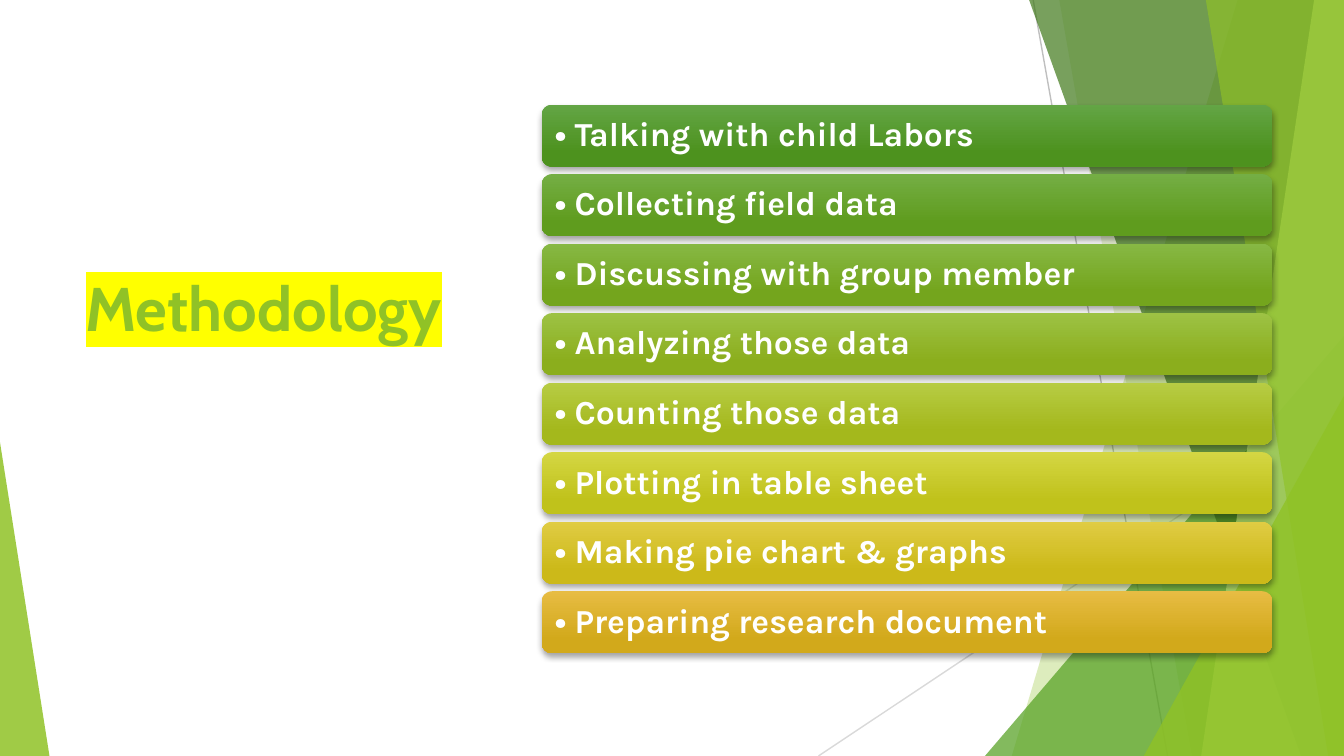
import pptx
import pptx.util
import pptx.dml.color
import pptx.enum.shapes
import pptx.enum.text
import pptx.oxml
import pptx.oxml.ns

Pt = pptx.util.Pt
MSO_SHAPE = pptx.enum.shapes.MSO_SHAPE
MSO_ANCHOR = pptx.enum.text.MSO_ANCHOR
PP_ALIGN = pptx.enum.text.PP_ALIGN
qn = pptx.oxml.ns.qn
NS = pptx.oxml.ns.nsdecls("a")

COLORS = {
    "lime": "90C226", "green": "54A021", "forest": "3F7819", "pale": "C0E474",
    "gray": "BFBFBF", "silver": "D9D9D9", "white": "FFFFFF",
    "highlight": "FFFF00", "shadow": "000000",
}
STEPS = [
    ("Talking with child Labors", "63A545", "4D921E"),
    ("Collecting field data", "74AE44", "5F9C1E"),
    ("Discussing with group member", "87B844", "74A51D"),
    ("Analyzing those data", "9DC244", "8BAE1D"),
    ("Counting those data", "B7CC44", "A4B81C"),
    ("Plotting in table sheet", "D4D643", "C0C21B"),
    ("Making pie chart & graphs", "E0CC43", "CCB919"),
    ("Preparing research document", "E7BC43", "D2A91B"),
]
WIDTH, HEIGHT = 720, 405
BAR_LEFT, BAR_TOP, BAR_WIDTH, BAR_HEIGHT, BAR_STEP = 290.2, 56, 391.5, 33.2, 37.25


def rgb(value):
    return pptx.dml.color.RGBColor.from_string(value)


def set_font(font, name, size, color):
    font.name = name
    font.size = Pt(size)
    font.bold = True
    font.color.rgb = rgb(COLORS[color])


def fill_glass(sp, color, alpha):
    sp.shadow.inherit = False
    sp.line.fill.background()
    sp.fill.solid()
    sp.fill.fore_color.rgb = rgb(COLORS[color])
    clr = sp.fill._xPr.find(qn("a:solidFill"))[0]
    clr.append(pptx.oxml.parse_xml(f'<a:alpha {NS} val="{alpha * 1000}"/>'))


def add_ray(s, x1, y1, x2, y2, color):
    cx = s.shapes.add_connector(
        pptx.enum.shapes.MSO_CONNECTOR.STRAIGHT, Pt(x1), Pt(y1), Pt(x2), Pt(y2))
    cx.line.color.rgb = rgb(COLORS[color])
    cx.line.width = Pt(0.75)
    cx._element.spPr.append(pptx.oxml.parse_xml(f"<a:effectLst {NS}/>"))


def add_shard(s, top_x, bottom_x, color, alpha):
    fb = s.shapes.build_freeform(Pt(top_x), 0)
    fb.add_line_segments(
        [(Pt(WIDTH), 0), (Pt(WIDTH), Pt(HEIGHT)), (Pt(bottom_x), Pt(HEIGHT))])
    fill_glass(fb.convert_to_shape(), color, alpha)


def add_corner(s, x, width, height, apex, color, alpha):
    sp = s.shapes.add_shape(
        MSO_SHAPE.ISOSCELES_TRIANGLE, Pt(x), Pt(HEIGHT - height), Pt(width), Pt(height))
    sp.adjustments[0] = apex
    fill_glass(sp, color, alpha)


def add_backdrop(s):
    add_ray(s, 553.5, 0, 625.5, HEIGHT, "gray")
    add_ray(s, WIDTH, 217.5, 438.5, HEIGHT, "silver")
    add_shard(s, 663, 542, "lime", 30)
    add_shard(s, 567.5, 638.5, "lime", 20)
    add_corner(s, 527.7, 192.3, 225, 1, "green", 72)
    add_shard(s, 551.3, 697, "forest", 70)
    add_shard(s, 704, 643.5, "pale", 70)
    add_shard(s, 646, 711.5, "lime", 65)
    add_corner(s, 612.7, 107.3, 193, 1, "lime", 80)
    add_corner(s, 0, 26.5, 168, 0, "lime", 85)


def add_title(s, text):
    sp = s.shapes.title
    sp.left, sp.top, sp.width, sp.height = Pt(38.6), Pt(81.5), Pt(209.5), Pt(242)
    tf = sp.text_frame
    tf.word_wrap = True
    tf.auto_size = pptx.enum.text.MSO_AUTO_SIZE.NONE
    tf.vertical_anchor = MSO_ANCHOR.MIDDLE
    tf.margin_bottom = Pt(80)
    p = tf.paragraphs[0]
    p.alignment = PP_ALIGN.LEFT
    set_font(p.font, "Cabin", 33, "lime")
    r = p.add_run()
    r.text = text
    r._r.get_or_add_rPr().append(pptx.oxml.parse_xml(
        f'<a:highlight {NS}><a:srgbClr val="{COLORS["highlight"]}"/></a:highlight>'))


def add_bar(s, top, text, light, dark):
    sp = s.shapes.add_shape(
        MSO_SHAPE.ROUNDED_RECTANGLE, Pt(BAR_LEFT), Pt(top), Pt(BAR_WIDTH), Pt(BAR_HEIGHT))
    sp.line.fill.background()
    sp.fill.gradient()
    sp.fill.gradient_angle = 270
    for stop, color, position in zip(sp.fill.gradient_stops, (light, dark), (0, 0.78)):
        stop.color.rgb = rgb(color)
        stop.position = position
    sp.shadow.inherit = False
    sp._element.spPr.find(qn("a:effectLst")).append(pptx.oxml.parse_xml(
        f'<a:outerShdw {NS} blurRad="{Pt(3)}" dist="{Pt(2)}" dir="5400000" rotWithShape="0">'
        f'<a:srgbClr val="{COLORS["shadow"]}"><a:alpha val="35000"/></a:srgbClr>'
        '</a:outerShdw>'))
    tf = sp.text_frame
    tf.word_wrap = True
    tf.vertical_anchor = MSO_ANCHOR.MIDDLE
    tf.margin_left = tf.margin_right = Pt(5.6)
    tf.margin_top = tf.margin_bottom = Pt(3)
    p = tf.paragraphs[0]
    p.text = f"• {text}"
    p.alignment = PP_ALIGN.LEFT
    p.line_spacing = 0.9
    set_font(p.font, "Karla", 18, "white")


def main():
    prs = pptx.Presentation()
    prs.slide_width, prs.slide_height = Pt(WIDTH), Pt(HEIGHT)
    s = prs.slides.add_slide(prs.slide_layouts[5])
    add_backdrop(s)
    add_title(s, "Methodology")
    for i, (text, light, dark) in enumerate(STEPS):
        add_bar(s, BAR_TOP + i * BAR_STEP, text, light, dark)
    prs.save("out.pptx")


if __name__ == "__main__":
    main()
